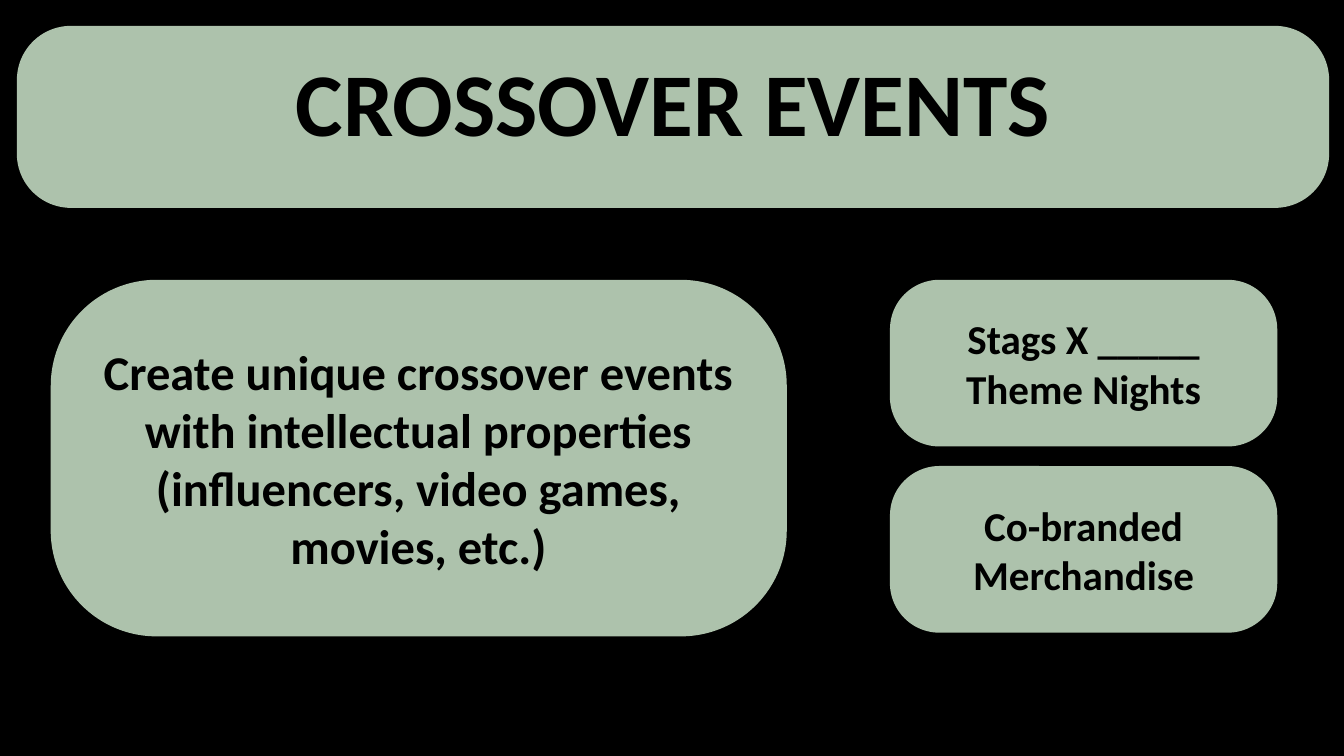
from pptx import Presentation
from pptx.dml.color import RGBColor
from pptx.enum.shapes import MSO_SHAPE as Shape
from pptx.enum.text import MSO_ANCHOR as Anchor, PP_ALIGN as Align
from pptx.util import Cm, Pt

SAGE = "ADC2AC"
BLACK = "000000"
FONT = "Calibri"
INSET = 0.25
CORNER = 0.297


def color(hex_value):
    return RGBColor.from_string(hex_value)


def add_panel(slide, box, text, size, line_spacing=None):
    """Draw a rounded sage panel with bold centred text; box is in centimetres."""
    shape = slide.shapes.add_shape(Shape.ROUNDED_RECTANGLE, *map(Cm, box))
    shape.adjustments[0] = CORNER
    shape.shadow.inherit = False
    shape.fill.solid()
    shape.fill.fore_color.rgb = color(SAGE)
    shape.line.fill.background()

    frame = shape.text_frame
    frame.word_wrap = True
    frame.vertical_anchor = Anchor.MIDDLE
    frame.margin_left = frame.margin_right = Cm(INSET)
    frame.margin_top = frame.margin_bottom = Cm(INSET)

    paragraph = frame.paragraphs[0]
    paragraph.alignment = Align.CENTER
    if line_spacing:
        paragraph.line_spacing = line_spacing
    run = paragraph.add_run()
    run.text = text
    run.font.name = FONT
    run.font.size = Pt(size)
    run.font.bold = True
    run.font.color.rgb = color(BLACK)


def add_header(slide, box):
    add_panel(slide, box, "CROSSOVER EVENTS", 48, line_spacing=0.6)


def add_concept(slide, box):
    add_panel(slide, box, "Create unique crossover events with intellectual "
              "properties (influencers, video games, movies, etc.)", 26)


def add_examples(slide, box, gap=0.37):
    """Stack the example panels in equal heights within the box."""
    examples = ["Stags X _____ Theme Nights", "Co-branded Merchandise"]
    left, top, width, height = box
    panel_height = (height - gap * (len(examples) - 1)) / len(examples)
    for index, text in enumerate(examples):
        panel_top = top + index * (panel_height + gap)
        add_panel(slide, (left, panel_top, width, panel_height), text, 22)


def main():
    presentation = Presentation()
    presentation.slide_width = Cm(25.4)
    presentation.slide_height = Cm(14.29)
    slide = presentation.slides.add_slide(presentation.slide_layouts[6])
    slide.background.fill.solid()
    slide.background.fill.fore_color.rgb = color(BLACK)

    add_concept(slide, (0.96, 5.29, 13.91, 6.74))
    add_examples(slide, (16.82, 5.29, 7.32, 6.67))
    add_header(slide, (0.32, 0.49, 24.8, 3.44))

    presentation.save("out.pptx")


if __name__ == "__main__":
    main()
